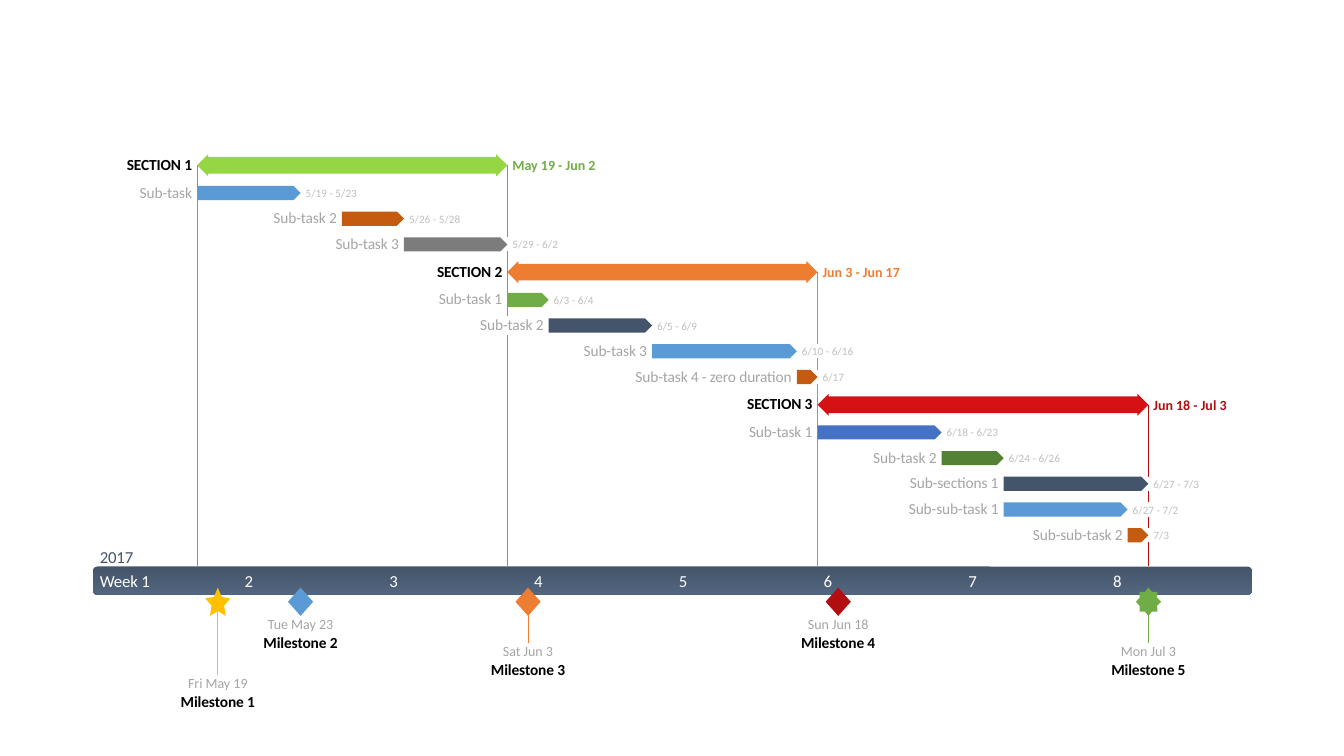
import pptx
import pptx.util
import pptx.dml.color
import pptx.enum.shapes
import pptx.enum.text
import pptx.oxml.ns
import lxml.etree

Inches = pptx.util.Inches
SHAPE = pptx.enum.shapes.MSO_SHAPE
ALIGN = pptx.enum.text.PP_ALIGN

COLORS = {
    "lime": "96D642", "green": "70AD47", "forest": "548235", "blue": "5B9BD5",
    "royal": "4472C4", "rust": "C55A11", "orange": "ED7D31", "gold": "FFC000",
    "red": "D51116", "crimson": "B20E12", "slate": "44546A", "steel": "52667F",
    "gray": "7C7C7C", "label": "A5A5A5", "dates": "BFBFBF",
    "black": "000000", "white": "FFFFFF",
}
SECTIONS = [
    (("SECTION 1", 5, 15, "May 19 - Jun 2", 0.83, "lime", "green"), [
        ("Sub-task", 0.54, 5, 5, "5/19 - 5/23", "blue"),
        ("Sub-task 2", 0.65, 12, 3, "5/26 - 5/28", "rust"),
        ("Sub-task 3", 0.65, 15, 5, "5/29 - 6/2", "gray"),
    ]),
    (("SECTION 2", 20, 15, "Jun 3 - Jun 17", 0.78, "orange", "orange"), [
        ("Sub-task 1", 0.65, 20, 2, "6/3 - 6/4", "green"),
        ("Sub-task 2", 0.65, 22, 5, "6/5 - 6/9", "slate"),
        ("Sub-task 3", 0.65, 27, 7, "6/10 - 6/16", "blue"),
        ("Sub-task 4 - zero duration", 1.6, 34, 1, "6/17", "rust"),
    ]),
    (("SECTION 3", 35, 16, "Jun 18 - Jul 3", 0.74, "red", "crimson"), [
        ("Sub-task 1", 0.65, 35, 6, "6/18 - 6/23", "royal"),
        ("Sub-task 2", 0.65, 41, 3, "6/24 - 6/26", "forest"),
        ("Sub-sections 1", 0.9, 44, 7, "6/27 - 7/3", "slate"),
        ("Sub-sub-task 1", 0.92, 44, 6, "6/27 - 7/2", "blue"),
        ("Sub-sub-task 2", 0.92, 50, 1, "7/3", "rust"),
    ]),
]
DATE_WIDTHS = {11: 0.51, 10: 0.46, 9: 0.4, 4: 0.22, 3: 0.17}
GUIDES = [
    (51, 9, [(12, 0.14), (13, 0.14), (14, 0.14)], "crimson"),
    (35, 4, [(7, 0.14), (8, 0.14)], "orange"),
    (20, 0, [(3, 0.14), (6, 0.19)], "green"),
    (5, 0, [(1, 0.14)], "green"),
]
MILESTONES = [
    ("Milestone 1", "Fri May 19", 0.6, 6, 6.7, SHAPE.STAR_5_POINT, "gold"),
    ("Milestone 2", "Tue May 23", 0.65, 10, 6.11, SHAPE.DIAMOND, "blue"),
    ("Milestone 3", "Sat Jun 3", 0.5, 21, 6.38, SHAPE.DIAMOND, "orange"),
    ("Milestone 4", "Sun Jun 18", 0.61, 36, 6.11, SHAPE.DIAMOND, "crimson"),
    ("Milestone 5", "Mon Jul 3", 0.56, 51, 6.38, SHAPE.STAR_8_POINT, "green"),
]
WEEKS = ["Week 1", "2", "3", "4", "5", "6", "7", "8"]
BAND_LEFT, BAND_TOP, BAND_WIDTH, BAND_HEIGHT = 0.92, 5.62, 11.5, 0.28
DAY = 10.05 / 49
FIRST_ROW, SECTION_GAP, TASK_GAP = 1.64, 0.55 / 2, 0.51 / 2
MARK_WIDTH, MARK_HEIGHT, MARK_TOP = 0.25, 0.28, 5.83
MARK_MIDDLE = MARK_TOP + MARK_HEIGHT / 2
TEXT_GAP, SLACK = 0.05, 0.1
SLACK_SHARE = {ALIGN.LEFT: 0, ALIGN.CENTER: 0.5, ALIGN.RIGHT: 1}

deck = pptx.Presentation()
deck.slide_width, deck.slide_height = Inches(13.33), Inches(7.5)
page = deck.slides.add_slide(deck.slide_layouts[6])


def rgb(color):
    return pptx.dml.color.RGBColor.from_string(COLORS[color])


def day_x(day):
    return BAND_LEFT + 0.01 + day * DAY


def add_line(x, top, bottom, color):
    line = page.shapes.add_connector(
        pptx.enum.shapes.MSO_CONNECTOR.STRAIGHT,
        Inches(x), Inches(top), Inches(x), Inches(bottom))
    line.line.color.rgb = rgb(color)
    line.line.width = pptx.util.Pt(0.75)
    lxml.etree.SubElement(line._element.spPr, pptx.oxml.ns.qn("a:effectLst"))


def add_shape(kind, left, middle, width, height, color):
    shape = page.shapes.add_shape(
        kind, Inches(left), Inches(middle - height / 2), Inches(width), Inches(height))
    shape.shadow.inherit = False
    shape.fill.solid()
    shape.fill.fore_color.rgb = rgb(color)
    shape.line.fill.background()
    return shape


def add_text(text, left, middle, width, size, color, align=ALIGN.LEFT, bold=False):
    height = size / 58
    box = page.shapes.add_textbox(
        Inches(left - SLACK * SLACK_SHARE[align]), Inches(middle - height / 2),
        Inches(width + SLACK), Inches(height))
    frame = box.text_frame
    frame.margin_left = frame.margin_right = frame.margin_top = frame.margin_bottom = 0
    frame.vertical_anchor = pptx.enum.text.MSO_ANCHOR.MIDDLE
    frame.word_wrap = True
    para = frame.paragraphs[0]
    para.text = text
    para.alignment = align
    para.font.name, para.font.size, para.font.bold = "Calibri", pptx.util.Pt(size), bold
    para.font.color.rgb = rgb(color)
    if size > 10:
        para.runs[0]._r.get_or_add_rPr().set("spc", "-10")


def add_label(text, bar_left, middle, width, color, bold=False):
    add_text(text, bar_left - TEXT_GAP - width, middle - 0.01, width, 11, color,
             ALIGN.RIGHT, bold)


row_middles = []
middle = FIRST_ROW - SECTION_GAP
for section, tasks in SECTIONS:
    for index in range(len(tasks) + 1):
        middle += SECTION_GAP if index < 2 else TASK_GAP
        row_middles.append(middle)

for name, date, width, day, date_top, kind, color in MILESTONES:
    if date_top > MARK_TOP + MARK_HEIGHT:
        add_line(day_x(day), MARK_MIDDLE, date_top, color)

for day, first_row, gaps, color in GUIDES:
    top = row_middles[first_row]
    for row, height in gaps:
        add_line(day_x(day), top, row_middles[row] - height / 2, color)
        top = row_middles[row] + height / 2
    add_line(day_x(day), top, BAND_TOP, color)

band_middle = BAND_TOP + BAND_HEIGHT / 2
band = add_shape(SHAPE.ROUNDED_RECTANGLE, BAND_LEFT, band_middle, BAND_WIDTH, BAND_HEIGHT, "slate")
band.fill.gradient()
band.fill.gradient_angle = 270
for stop, color in zip(band.fill.gradient_stops, ["slate", "steel"]):
    stop.color.rgb = rgb(color)
for index, week in enumerate(WEEKS):
    add_text(week, day_x(7 * index) + 0.06, band_middle, 0.08 if index else 0.51, 12, "white")
add_text("2017", BAND_LEFT + 0.07, 5.52, 0.33, 12, "slate")

for name, date, width, day, date_top, kind, color in MILESTONES:
    x = day_x(day)
    add_text(name, x - 0.75 / 2, date_top + 0.26, 0.75, 11, "black", ALIGN.CENTER, True)
    add_text(date, x - width / 2, date_top + 0.08, width, 10, "label", ALIGN.CENTER)
    mark = add_shape(kind, x - MARK_WIDTH / 2, MARK_MIDDLE, MARK_WIDTH, MARK_HEIGHT, color)
    if kind == SHAPE.STAR_5_POINT:
        mark.adjustments[0] = 0.25

rows = iter(row_middles)
for (name, start, days, dates, width, color, date_color), tasks in SECTIONS:
    middle = next(rows)
    arrow = add_shape(SHAPE.LEFT_RIGHT_ARROW, day_x(start), middle, days * DAY, 0.22, color)
    arrow.adjustments[0], arrow.adjustments[1] = 0.75, 0.5
    add_label(name, day_x(start), middle, 0.67, "black", True)
    add_text(dates, day_x(start + days) + TEXT_GAP, middle, width, 10, date_color, bold=True)
    for task, width, start, days, dates, color in tasks:
        middle = next(rows)
        add_shape(SHAPE.PENTAGON, day_x(start), middle, days * DAY, 0.14, color)
        add_label(task, day_x(start), middle, width, "label")
        add_text(dates, day_x(start + days) + TEXT_GAP, middle,
                 DATE_WIDTHS[len(dates)], 8, "dates")

deck.save("out.pptx")
